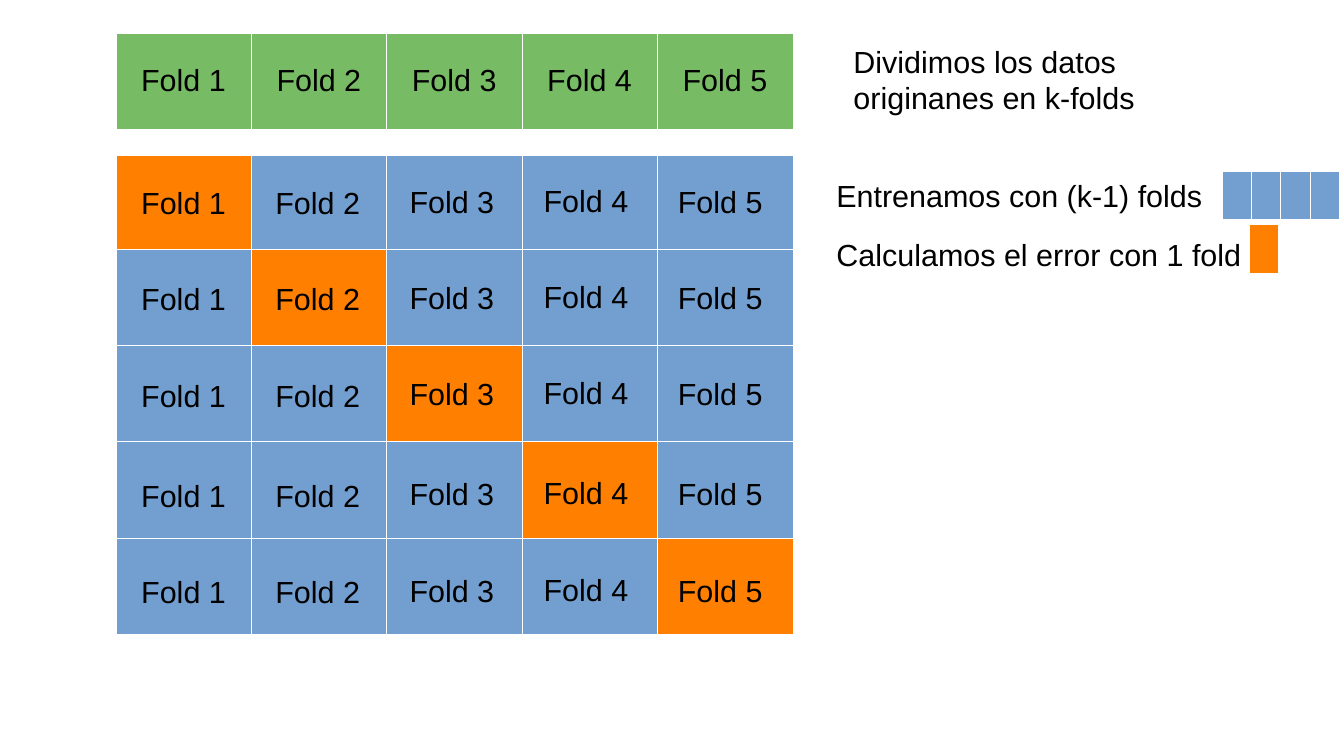
from lxml.etree import SubElement
from pptx import Presentation
from pptx.dml.color import RGBColor
from pptx.enum.text import MSO_ANCHOR, PP_ALIGN
from pptx.oxml.ns import qn
from pptx.util import Inches, Pt

GREEN, BLUE, ORANGE, WHITE, BLACK = "77BC65", "729FCF", "FF8000", "FFFFFF", "000000"
FOLDS = 5
COL, ROW = 1.11, 0.79      # one cell of the fold grid
LEFT, TOP = 0.95, 1.27     # corner of the fold grid
MINI = (0.24, 0.38)        # one cell of the legend

deck = Presentation()
deck.slide_width, deck.slide_height = Inches(11.02), Inches(6.2)
slide = deck.slides.add_slide(deck.slide_layouts[6])


def write(frame, text):
    run = frame.paragraphs[0].add_run()
    run.text = text
    run.font.size, run.font.name = Pt(18), "Arial"
    run.font.color.rgb = RGBColor.from_string(BLACK)


def add_grid(left, top, wide, tall, fills):
    """Draw a table of plain cells, one for each colour in fills."""
    rows, cols = len(fills), len(fills[0])
    table = slide.shapes.add_table(
        rows, cols, Inches(left), Inches(top),
        Inches(wide * cols), Inches(tall * rows)).table
    table.first_row = table.horz_banding = False
    for row, hues in zip(table.rows, fills):
        row.height = Inches(tall)
        for cell, hue in zip(row.cells, hues):
            props = cell._tc.get_or_add_tcPr()
            for side in ("lnL", "lnR", "lnT", "lnB"):
                line = SubElement(props, qn("a:" + side), w="762")
                fill = SubElement(line, qn("a:solidFill"))
                SubElement(fill, qn("a:srgbClr"), val=WHITE)
            cell.fill.solid()
            cell.fill.fore_color.rgb = RGBColor.from_string(hue)
            cell.vertical_anchor = MSO_ANCHOR.MIDDLE
    for col in table.columns:
        col.width = Inches(wide)
    return table


# Fold grid: the test fold runs down the diagonal
folds = add_grid(LEFT, TOP, COL, ROW, [
    [ORANGE if r == c else BLUE for c in range(FOLDS)] for r in range(FOLDS)])
folds.rows[0].height = Inches(0.77)

# Header row
names = [f"Fold {n + 1}" for n in range(FOLDS)]
head = add_grid(LEFT, 0.27, COL, ROW, [[GREEN] * FOLDS])
for cell, name in zip(head.rows[0].cells, names):
    write(cell.text_frame, name)
    cell.text_frame.paragraphs[0].alignment = PP_ALIGN.CENTER

# Fold names, one group for each row; the last two rows sit a bit lower
notes = [(slide.shapes, 6.9, 0.3, 3.4, 0.66, "Dividimos los datos originanes en k-folds")]
rises = (0, 0, 0.01, 0.02, 0.01)
for r in range(FOLDS):
    group = slide.shapes.add_group_shape().shapes
    top = 1.46 + r * ROW + (0.03 if r > 2 else 0)
    for c, name in enumerate(names):
        notes.append((group, 1.06 + c * 1.1, top - rises[c], 0.9, 0.38, name))

# Notes at the right
notes += [
    (slide.shapes, 6.76, 1.4, 3.4, 0.38, "Entrenamos con (k-1) folds"),
    (slide.shapes, 6.76, 1.89, 3.7, 0.66, "Calculamos el error con 1 fold"),
]
for shapes, left, top, wide, tall, text in notes:
    box = shapes.add_textbox(Inches(left), Inches(top), Inches(wide), Inches(tall))
    box.text_frame.word_wrap = True
    write(box.text_frame, text)

# Legend
add_grid(10.02, 1.4, *MINI, [[BLUE] * (FOLDS - 1)])
add_grid(10.24, 1.84, *MINI, [[ORANGE]])

deck.save("out.pptx")
